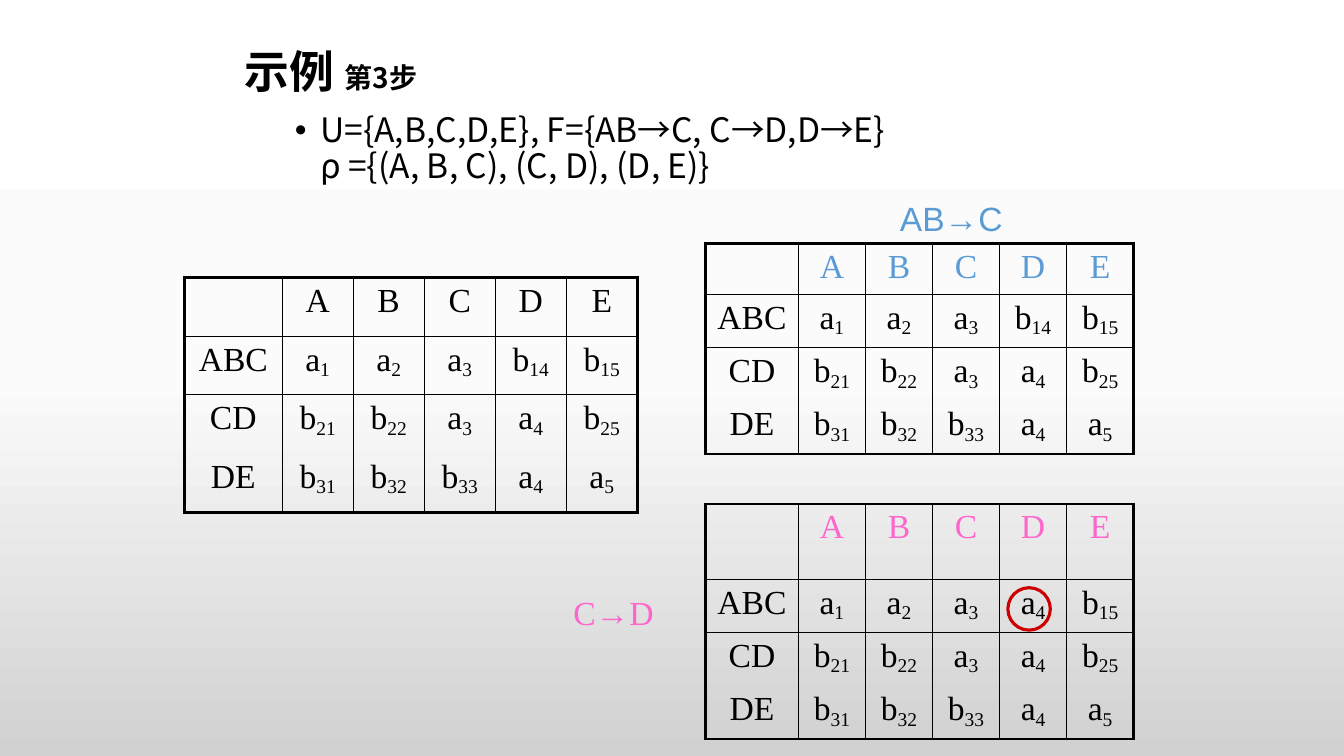
from lxml import etree
from pptx import Presentation
from pptx.dml.color import RGBColor
from pptx.enum.shapes import MSO_SHAPE
from pptx.enum.text import MSO_ANCHOR, PP_ALIGN
from pptx.oxml.ns import qn
from pptx.util import Cm, Pt

CENTER, LEFT = PP_ALIGN.CENTER, PP_ALIGN.LEFT
TOP, MIDDLE = MSO_ANCHOR.TOP, MSO_ANCHOR.MIDDLE
OVAL = MSO_SHAPE.OVAL
SANS, ARIAL, SERIF = "Noto Sans CJK SC", "Arial", "Times New Roman"
NO_GRID_STYLE = "{2D5ABB26-0587-4C30-8999-92F81FD0307C}"
THICK, THIN = Pt(2.25), Pt(1)
COLORS = {
    "black": "000000", "blue": "5B9BD5", "pink": "FF66CC", "red": "CC0000",
    "sky": "FFFFFF", "haze": "FBFBFB", "ground": "D1D1D1",
}


def add_span(para, text, font, size, color, bold=False, baseline=0):
    span = para.add_run()
    span.text = text
    span.font.size = Pt(size)
    span.font.bold = bold
    span.font.color.rgb = RGBColor.from_string(COLORS[color])
    span.font.name = font
    properties = span.font._element
    etree.SubElement(properties, qn("a:ea"), typeface=font)
    if baseline:
        properties.set("baseline", str(baseline * 1000))


def add_text_box(left, top, width, height, anchor=TOP, wrap=True):
    box = page.shapes.add_textbox(Cm(left), Cm(top), Cm(width), Cm(height))
    box.text_frame.word_wrap = wrap
    box.text_frame.vertical_anchor = anchor
    return box.text_frame


deck = Presentation()
deck.slide_width, deck.slide_height = Cm(33.87), Cm(19.05)
page = deck.slides.add_slide(deck.slide_layouts[6])

# Background gradient, top to bottom
backdrop = page.background.fill
backdrop.gradient()
backdrop.gradient_angle = 270
stops = page._element.find(".//" + qn("a:gsLst"))
stops.clear()
for position, shade in ((0, "sky"), (50, "haze"), (100, "ground")):
    stop = etree.SubElement(stops, qn("a:gs"), pos=str(position * 1000))
    etree.SubElement(stop, qn("a:srgbClr"), val=COLORS[shade])

# Title
para = add_text_box(5.92, 1.07, 21.59, 1.6, MIDDLE).paragraphs[0]
para.line_spacing = 0.9
add_span(para, "示例 ", SANS, 32, "black", bold=True)
add_span(para, "第3步", SANS, 20, "black", bold=True)

# Relation and decomposition
frame = add_text_box(5.92, 2.74, 21.59, 2.34)
statements = (
    ("U={A,B,C,D,E}, F={AB→C, C→D,D→E}", -0.64),
    ("ρ ={(A, B, C), (C, D), (D, E)}", 0),
)
for index, (statement, indent) in enumerate(statements):
    para = frame.add_paragraph() if index else frame.paragraphs[0]
    properties = para._p.get_or_add_pPr()
    properties.set("marL", str(Cm(1.9)))
    properties.set("indent", str(Cm(indent)))
    if indent:
        etree.SubElement(properties, qn("a:buFont"), typeface=ARIAL)
        etree.SubElement(properties, qn("a:buChar"), char="•")
    para.line_spacing = 0.9
    add_span(para, statement, SANS, 24, "black")

# Tables: the last step turns b14 into a4
start_rows = (
    "ABC a1 a2 a3 b14 b15",
    "CD b21 b22 a3 a4 b25",
    "DE b31 b32 b33 a4 a5",
)
final_rows = ("ABC a1 a2 a3 a4 b15",) + start_rows[1:]
# left, top, first column, other columns, header row, other rows, colour, rows
tables = (
    (4.65, 6.99, 2.46, 1.79, 1.48, 1.48, "black", start_rows),
    (17.78, 6.14, 2.34, 1.69, 1.28, 1.34, "blue", start_rows),
    (17.78, 12.7, 2.34, 1.69, 1.9, 1.34, "pink", final_rows),
)
for left, top, name_width, width, head_height, height, head_color, body in tables:
    grid = [["", *"ABCDE"]] + [line.split() for line in body]
    last_row, last_column = len(grid) - 1, len(grid[0]) - 1
    table = page.shapes.add_table(
        last_row + 1, last_column + 1, Cm(left), Cm(top),
        Cm(name_width + last_column * width),
        Cm(head_height + last_row * height)).table
    table.first_row = table.horz_banding = False
    table._tbl.tblPr.find(qn("a:tableStyleId")).text = NO_GRID_STYLE
    for index, column in enumerate(table.columns):
        column.width = Cm(width if index else name_width)
    for index, row in enumerate(table.rows):
        row.height = Cm(height if index else head_height)

    for r, values in enumerate(grid):
        for c, value in enumerate(values):
            cell = table.cell(r, c)
            para = cell.text_frame.paragraphs[0]
            para.alignment = CENTER
            letters = value.rstrip("0123456789")
            digits = value[len(letters):]
            color = "black" if r else head_color
            if letters:
                add_span(para, letters, SERIF, 24, color)
            if digits:
                add_span(para, digits, SERIF, 24, color, baseline=-16)

            # Thick frame, thin columns, one thin line under the header
            borders = {
                "a:lnL": THIN if c else THICK,
                "a:lnR": THICK if c == last_column else THIN,
                "a:lnT": {0: THICK, 1: THIN}.get(r),
                "a:lnB": {0: THIN, last_row: THICK}.get(r),
            }
            properties = cell._tc.get_or_add_tcPr()
            for tag, weight in borders.items():
                if weight:
                    line = etree.SubElement(properties, qn(tag), w=str(weight))
                    fill = etree.SubElement(line, qn("a:solidFill"))
                    etree.SubElement(fill, qn("a:srgbClr"), val=COLORS["black"])
            cell.fill.background()

# Labels of the dependencies applied
labels = (
    ("AB→C", 21.16, 4.65, 4.39, ARIAL, "blue", LEFT, False),
    ("C→D", 12.07, 14.6, 5.51, SERIF, "pink", CENTER, True),
)
for text, left, top, width, font, color, alignment, wrap in labels:
    para = add_text_box(left, top, width, 1.5, wrap=wrap).paragraphs[0]
    para._p.get_or_add_pPr().set("marL", str(Cm(1.27)))
    para.alignment = alignment
    para.line_spacing = 1.2
    add_span(para, text, font, 24, color)

# Ring around the changed cell
ring = page.shapes.add_shape(OVAL, Cm(25.4), Cm(14.81), Cm(1.07), Cm(1.07))
ring.shadow.inherit = False
ring.fill.background()
ring.line.color.rgb = RGBColor.from_string(COLORS["red"])
ring.line.width = THICK

deck.save("out.pptx")
